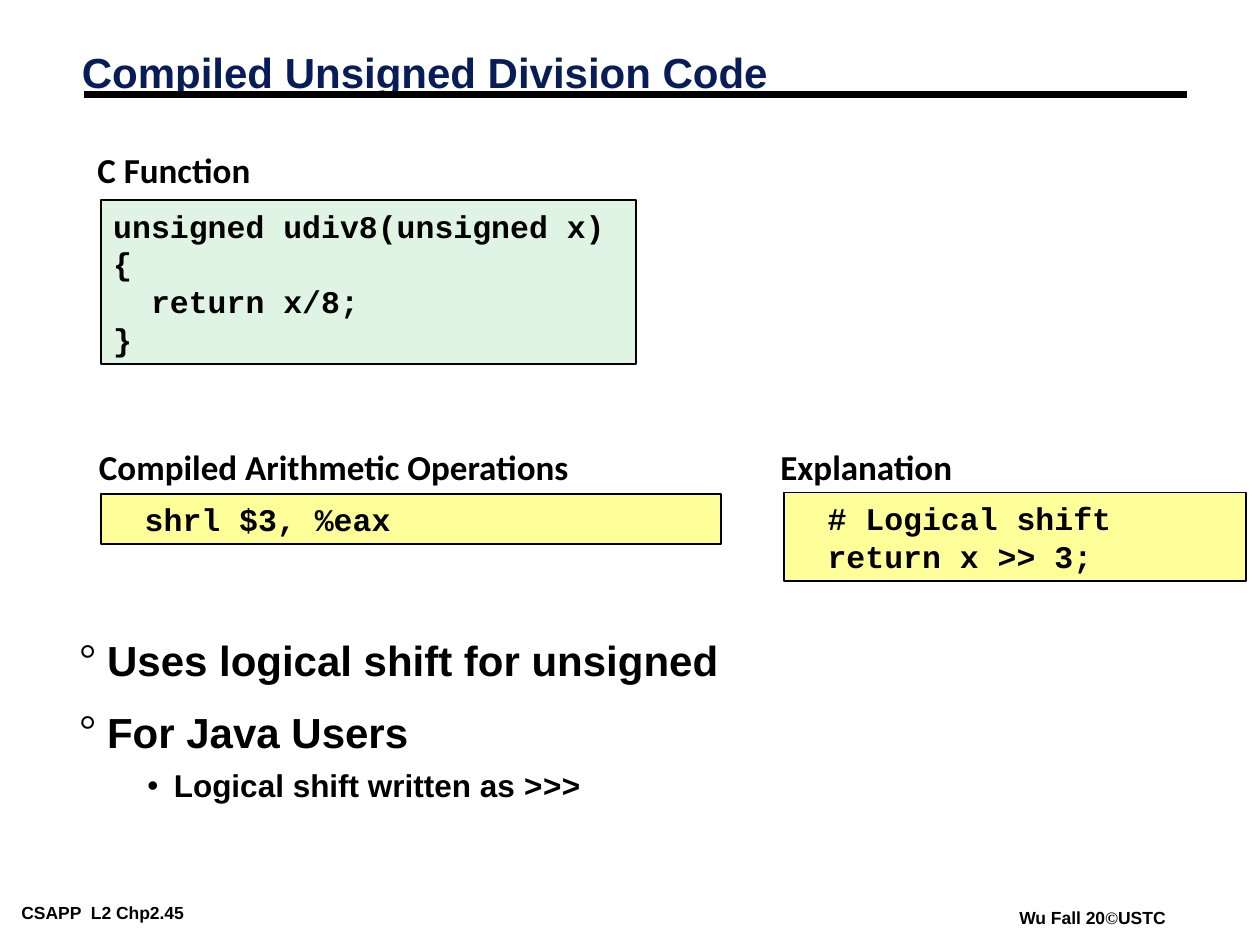
from lxml import etree
from pptx import Presentation
from pptx.dml.color import RGBColor
from pptx.enum.shapes import MSO_CONNECTOR, MSO_SHAPE
from pptx.enum.text import MSO_ANCHOR, MSO_AUTO_SIZE, PP_ALIGN
from pptx.oxml.ns import qn
from pptx.util import Inches, Pt

BLACK = RGBColor(0x00, 0x00, 0x00)
NAVY = RGBColor(0x08, 0x1D, 0x58)
MINT = RGBColor(0xE0, 0xF4, 0xE3)
YELLOW = RGBColor(0xFF, 0xFF, 0x99)
SANS, MONO, LABEL, SERIF = "Arial", "Courier New", "Calibri", "Times New Roman"
LEFT, CENTER = PP_ALIGN.LEFT, PP_ALIGN.CENTER
TOP, MIDDLE = MSO_ANCHOR.TOP, MSO_ANCHOR.MIDDLE
NO_FIT = MSO_AUTO_SIZE.NONE
RECTANGLE, STRAIGHT = MSO_SHAPE.RECTANGLE, MSO_CONNECTOR.STRAIGHT
CODE_TABS = (0.25, 1)
BULLETS = (
    {"mark": "°", "face": SERIF, "size": 24, "margin": 0.22, "hang": 0.22,
     "spacing": 0.75, "before": 19.5},
    {"mark": "•", "face": SANS, "size": 18, "margin": 0.75, "hang": 0.21,
     "spacing": 0.85, "before": 9},
)


class SlideWriter:
    def __init__(self, page):
        self.page = page

    def place(self, box, left, top, width, height):
        box.left, box.top = Inches(left), Inches(top)
        box.width, box.height = Inches(width), Inches(height)

    def frame(self, box, side=0.1, edge=0.05, anchor=TOP, wrap=True):
        frame = box.text_frame
        frame.auto_size = NO_FIT
        frame.word_wrap = wrap
        frame.vertical_anchor = anchor
        frame.margin_left = frame.margin_right = Inches(side)
        frame.margin_top = frame.margin_bottom = Inches(edge)
        return frame

    def font(self, font, size, name=None, color=BLACK):
        font.size, font.bold = Pt(size), True
        font.color.rgb = color
        if name:
            font.name = name

    def spans(self, para, parts, size):
        names = {name for _, name in parts}
        shared = names.pop() if len(names) == 1 else None
        self.font(para.font, size, shared)
        for text, name in parts:
            span = para.add_run()
            span.text = text
            if not shared:
                span.font.name = name

    def tabs(self, para, stops):
        tab_list = etree.SubElement(para._p.get_or_add_pPr(), qn("a:tabLst"))
        for stop in stops:
            etree.SubElement(tab_list, qn("a:tab"), pos=str(Inches(stop)), algn="l")

    def title(self, text, *area):
        box = self.page.shapes.title
        self.place(box, *area)
        para = self.frame(box, anchor=MIDDLE).paragraphs[0]
        para.text = text
        para.alignment, para.line_spacing = LEFT, 0.87
        self.font(para.font, 24, SANS, NAVY)

    def bullets(self, items, *area):
        box = self.page.placeholders[1]
        self.place(box, *area)
        frame = self.frame(box)
        for index, (level, parts) in enumerate(items):
            para = frame.add_paragraph() if index else frame.paragraphs[0]
            style = BULLETS[level]
            para.level = level
            para.line_spacing = style["spacing"]
            para.space_before = Pt(style["before"] if index else 0)
            props = para._p.get_or_add_pPr()
            props.set("marL", str(Inches(style["margin"])))
            props.set("indent", str(-Inches(style["hang"])))
            etree.SubElement(props, qn("a:buFont"), typeface=style["face"])
            etree.SubElement(props, qn("a:buChar"), char=style["mark"])
            self.spans(para, parts, style["size"])

    def label(self, parts, size, align, side, edge, *area):
        box = self.page.shapes.add_textbox(*map(Inches, area))
        para = self.frame(box, side, edge, wrap=False).paragraphs[0]
        para.alignment = align
        self.spans(para, parts, size)

    def heading(self, text, left, top, width):
        self.label([(text, LABEL)], 20, CENTER, 0.05, 0.05, left, top, width, 0.44)

    def footer(self, parts, left, top, width):
        self.label(parts, 10, LEFT, 0.07, 0.03, left, top, width, 0.22)

    def code(self, lines, fill, *area):
        box = self.page.shapes.add_shape(RECTANGLE, *map(Inches, area))
        box.shadow.inherit = False
        box.fill.solid()
        box.fill.fore_color.rgb = fill
        box.line.color.rgb = BLACK
        box.line.width = Pt(1)
        frame = self.frame(box)
        for index, line in enumerate(lines):
            para = frame.add_paragraph() if index else frame.paragraphs[0]
            para.alignment = LEFT
            self.tabs(para, CODE_TABS)
            self.spans(para, [(line, MONO)], 18)

    def rule(self, left, right, top):
        line = self.page.shapes.add_connector(
            STRAIGHT, Inches(left), Inches(top), Inches(right), Inches(top))
        line.line.color.rgb = BLACK
        line.line.width = Pt(4.5)
        etree.SubElement(line._element.spPr, qn("a:effectLst"))


def main():
    deck = Presentation()
    deck.slide_width, deck.slide_height = Inches(10), Inches(7.5)
    writer = SlideWriter(deck.slides.add_slide(deck.slide_layouts[1]))

    writer.footer([("CSAPP  L2 Chp2.45", SANS)], 0.1, 7.13, 1.95)
    writer.footer([("Wu Fall 20", SANS), ("©", SERIF), ("USTC", SANS)], 8.02, 7.17, 1.3)
    writer.rule(0.67, 9.42, 0.75)
    writer.title("Compiled Unsigned Division Code", 0.55, 0.28, 8.67, 0.63)

    writer.heading("C Function", 0.72, 1.13, 1.32)
    writer.code(["unsigned udiv8(unsigned x)", "{", "  return x/8;", "}"],
                MINT, 0.8, 1.59, 4.25, 1.3)
    writer.heading("Compiled Arithmetic Operations", 0.73, 3.49, 3.84)
    writer.code(["\tshrl\t$3, %eax"], YELLOW, 0.8, 3.92, 4.92, 0.4)
    writer.heading("Explanation", 6.14, 3.49, 1.47)
    writer.code(["\t# Logical shift", "\treturn x >> 3;"], YELLOW, 6.22, 3.91, 3.67, 0.7)

    writer.bullets([
        (0, [("Uses logical shift for unsigned", SANS)]),
        (0, [("For Java Users", SANS)]),
        (1, [("Logical shift written as ", SANS), (">>>", MONO)]),
    ], 0.53, 5.08, 9.09, 1.3)

    deck.save("out.pptx")


if __name__ == "__main__":
    main()
